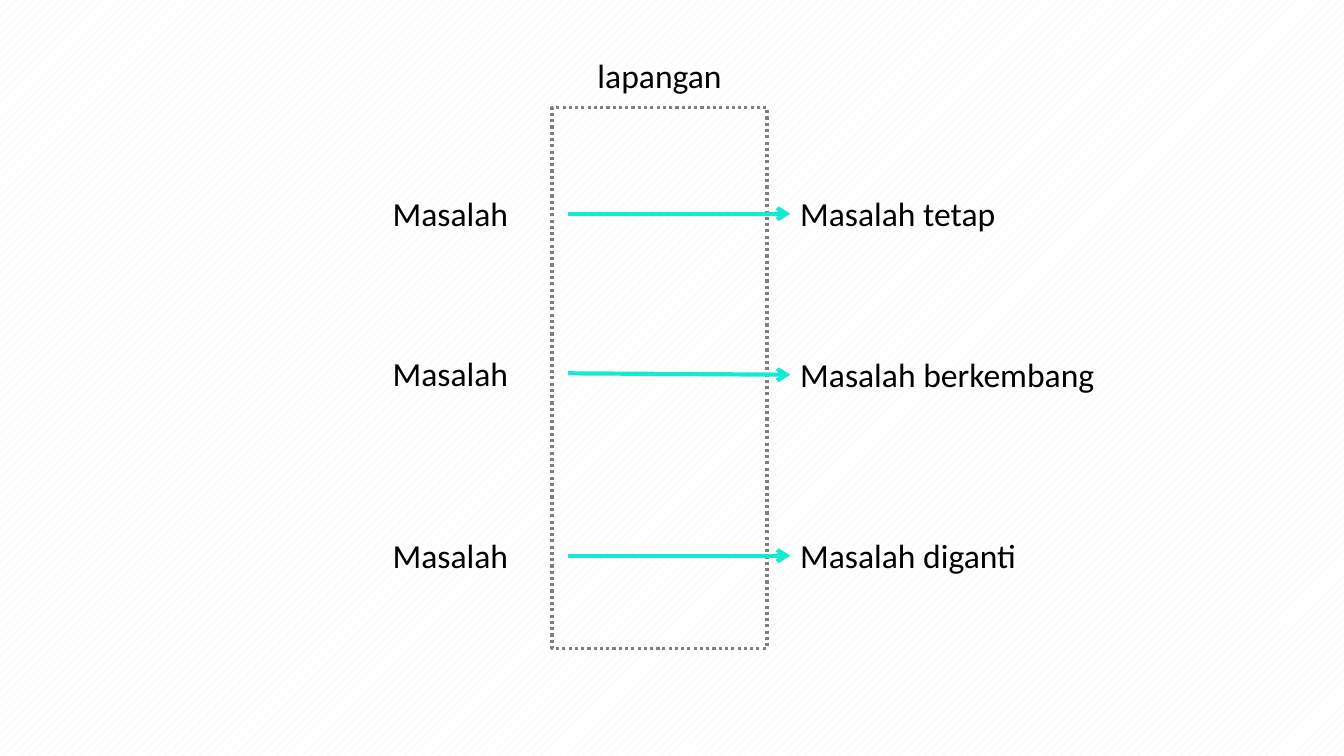
from dataclasses import dataclass
from lxml.etree import SubElement
from pptx import Presentation
from pptx.dml.color import RGBColor as RGB
from pptx.enum.dml import MSO_LINE as Dash, MSO_PATTERN as Pattern
from pptx.enum.shapes import MSO_CONNECTOR as Link, MSO_SHAPE as Shape
from pptx.enum.text import MSO_AUTO_SIZE as Fit, PP_ALIGN as Align
from pptx.oxml.ns import qn
from pptx.util import Pt


@dataclass(frozen=True)
class Theme:
    font: str = "Calibri"
    size: float = 24
    ink: RGB = RGB(0, 0, 0)
    frame: RGB = RGB(0x7F, 0x7F, 0x7F)
    arrow: RGB = RGB(0x14, 0xEA, 0xD1)
    paper: RGB = RGB(0xFF, 0xFF, 0xFF)
    hatch: RGB = RGB(0xED, 0xED, 0xED)


THEME = Theme()
LABEL_W, LABEL_H = 168, 36.35


def paint_back(slide):
    fill = slide.background.fill
    fill.patterned()
    fill.pattern = Pattern.DASHED_UPWARD_DIAGONAL
    fill.fore_color.rgb = THEME.hatch
    fill.back_color.rgb = THEME.paper


def add_label(slide, text, left, top, width, align):
    label = slide.shapes.add_textbox(Pt(left), Pt(top), Pt(width), Pt(LABEL_H))
    frame = label.text_frame
    frame.word_wrap = True
    frame.auto_size = Fit.SHAPE_TO_FIT_TEXT
    frame.text = text
    para = frame.paragraphs[0]
    para.alignment = align
    font = para.runs[0].font
    font.name, font.size = THEME.font, Pt(THEME.size)
    font.color.rgb = THEME.ink
    return label


def add_arrow(slide, start, end):
    arrow = slide.shapes.add_connector(Link.STRAIGHT, 0, 0, 0, 0)
    arrow.begin_connect(start, 3)
    arrow.end_connect(end, 1)
    arrow.line.color.rgb = THEME.arrow
    arrow.line.width = Pt(3)
    SubElement(arrow.line._get_or_add_ln(), qn("a:tailEnd"), type="arrow")
    SubElement(arrow._element.spPr, qn("a:effectLst"))


def add_field(slide, left, top, width, height):
    field = slide.shapes.add_shape(
        Shape.RECTANGLE, Pt(left), Pt(top), Pt(width), Pt(height))
    field.shadow.inherit = False
    field.fill.background()
    field.line.color.rgb = THEME.frame
    field.line.width = Pt(2.25)
    field.line.dash_style = Dash.ROUND_DOT
    middle = left + width / 2
    add_label(slide, "lapangan", middle - LABEL_W / 2, top - 41, LABEL_W, Align.CENTER)


def add_flow(slide, left, top, result, width, drop=0):
    start = add_label(slide, "Masalah", left, top, LABEL_W, Align.CENTER)
    end = add_label(slide, result, left + 326.75, top + drop, width, Align.LEFT)
    add_arrow(slide, start, end)


def main():
    deck = Presentation()
    deck.slide_width, deck.slide_height = Pt(960), Pt(540)
    slide = deck.slides.add_slide(deck.slide_layouts[6])
    paint_back(slide)
    add_field(slide, 394.3, 77, 153.6, 386)
    add_flow(slide, 237.75, 134.5, "Masalah tetap", 222)
    add_flow(slide, 237.75, 248.5, "Masalah berkembang", 301, drop=1)
    add_flow(slide, 237.75, 378.75, "Masalah diganti", 222)
    deck.save("out.pptx")


if __name__ == "__main__":
    main()
